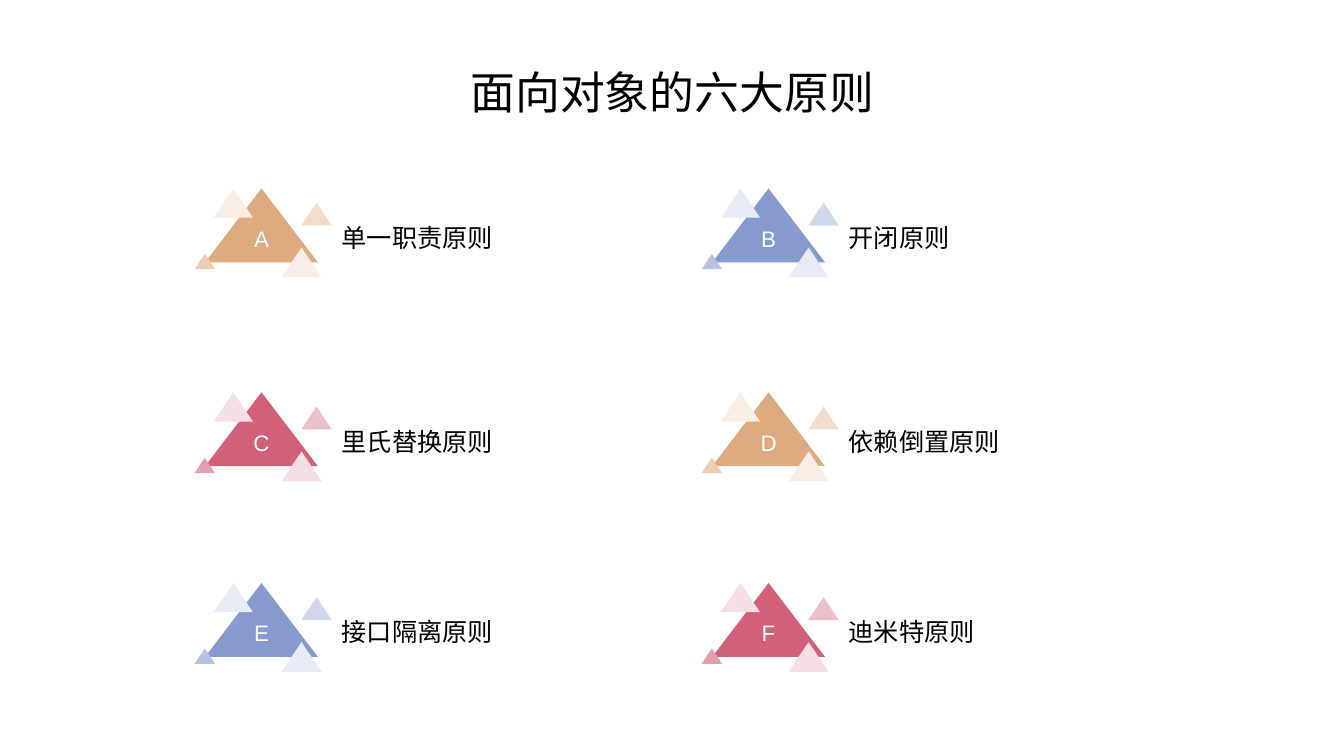
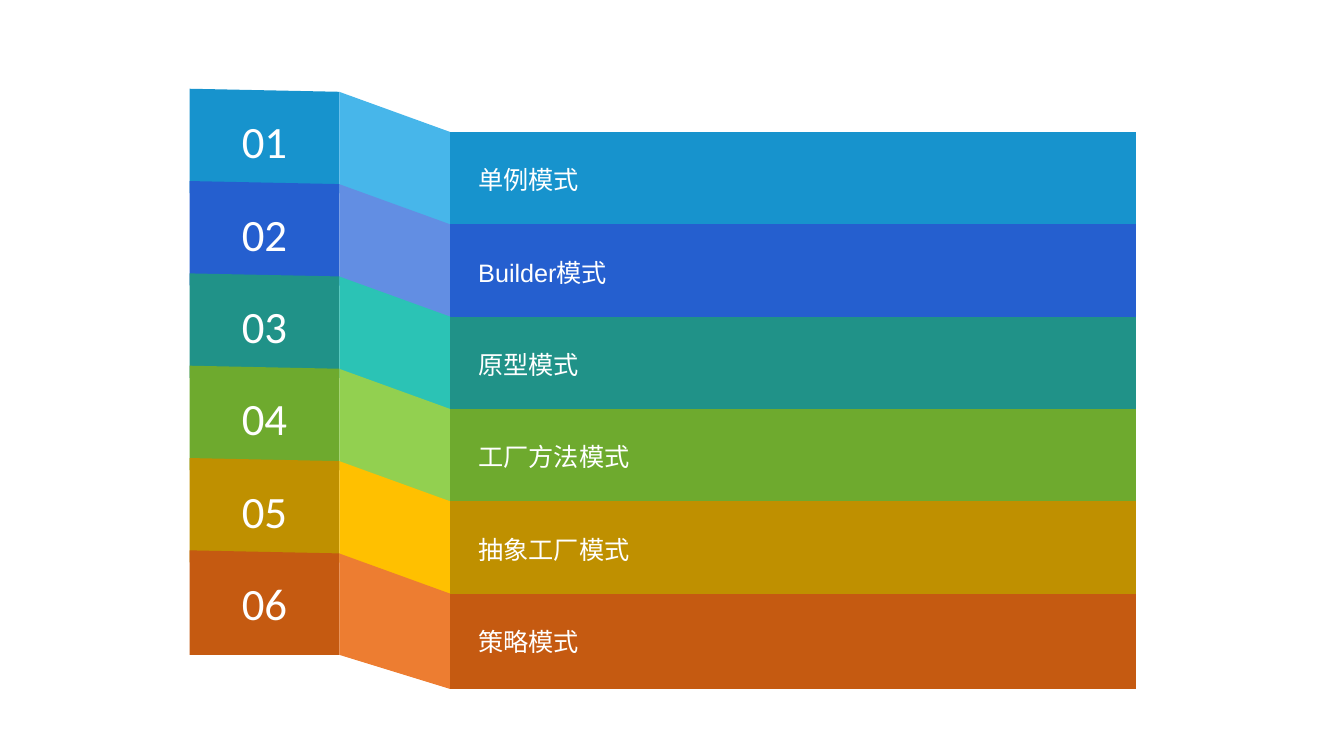
from pptx import Presentation
from pptx.dml.color import RGBColor
from pptx.enum.shapes import MSO_SHAPE
from pptx.enum.text import MSO_ANCHOR, MSO_AUTO_SIZE, PP_ALIGN
from pptx.util import Pt

BLACK = RGBColor(0x00, 0x00, 0x00)
WHITE = RGBColor(0xFF, 0xFF, 0xFF)
SAND = RGBColor(0xDE, 0xAB, 0x81)
ROSE = RGBColor(0xD2, 0x60, 0x78)
PERIWINKLE = RGBColor(0x86, 0x9A, 0xCD)
SKY, SKY_FOLD = RGBColor(0x17, 0x93, 0xCD), RGBColor(0x47, 0xB6, 0xEA)
BLUE, BLUE_FOLD = RGBColor(0x25, 0x5F, 0xCF), RGBColor(0x62, 0x8E, 0xE3)
TEAL, TEAL_FOLD = RGBColor(0x20, 0x92, 0x88), RGBColor(0x2B, 0xC3, 0xB5)
GREEN, GREEN_FOLD = RGBColor(0x6E, 0xAA, 0x2E), RGBColor(0x92, 0xD0, 0x50)
GOLD, GOLD_FOLD = RGBColor(0xBF, 0x90, 0x00), RGBColor(0xFF, 0xC0, 0x00)
RUST, RUST_FOLD = RGBColor(0xC5, 0x5A, 0x11), RGBColor(0xED, 0x7D, 0x31)

HEADING_FONT, BODY_FONT = "Calibri", "Arial"
HEADING_SIZE, BODY_SIZE, LETTER_SIZE = 32, 18, 16
TITLE_ONLY, BLANK = 5, 6

PRINCIPLES = [
    ("A", "单一职责原则", SAND), ("B", "开闭原则", PERIWINKLE),
    ("C", "里氏替换原则", ROSE), ("D", "依赖倒置原则", SAND),
    ("E", "接口隔离原则", PERIWINKLE), ("F", "迪米特原则", ROSE),
]
BADGE_COLUMNS = (139, 501.2)
BADGE_ROWS = (134.6, 280.2, 416.4)
# Offset from the badge corner, size, share of white
SMALL_TRIANGLES = [
    (13.7, 0, 28, 20.9, 0.8),
    (62, 42.2, 28.8, 21.4, 0.8),
    (76.2, 10.1, 21.8, 16.4, 0.6),
    (0, 46.8, 14.6, 10.9, 0.4),
]

PATTERNS = [
    ("单例模式", SKY, SKY_FOLD),
    ("Builder模式", BLUE, BLUE_FOLD),
    ("原型模式", TEAL, TEAL_FOLD),
    ("工厂方法模式", GREEN, GREEN_FOLD),
    ("抽象工厂模式", GOLD, GOLD_FOLD),
    ("策略模式", RUST, RUST_FOLD),
]
BAND_TOP, BAND_STEP = 63.4, 65.95
BAND_LEFT, FOLD_LEFT, FOLD_RIGHT, BAND_RIGHT = 135.4, 242.4, 321.6, 811.4


def tint(colour, white_share):
    return RGBColor(*(round(c + (255 - c) * white_share) for c in colour))


class Deck:
    """Holds the shared style and the slide being filled."""

    def __init__(self):
        self.presentation = Presentation()
        self.presentation.slide_width = Pt(960)
        self.presentation.slide_height = Pt(540)
        self.slide = None

    def new_slide(self, layout):
        layouts = self.presentation.slide_layouts
        self.slide = self.presentation.slides.add_slide(layouts[layout])

    def set_text(self, shape, text, size=BODY_SIZE, font=BODY_FONT,
                 colour=WHITE, align=PP_ALIGN.LEFT, anchor=MSO_ANCHOR.MIDDLE,
                 spacing=None):
        frame = shape.text_frame
        frame.word_wrap = True
        frame.auto_size = MSO_AUTO_SIZE.NONE
        frame.vertical_anchor = anchor
        paragraph = frame.paragraphs[0]
        paragraph.alignment = align
        paragraph.line_spacing = spacing
        run = paragraph.add_run()
        run.text = text
        run.font.size = Pt(size)
        run.font.name = font
        run.font.color.rgb = colour
        return frame

    def paint(self, shape, colour):
        shape.shadow.inherit = False
        shape.fill.solid()
        shape.fill.fore_color.rgb = colour
        shape.line.fill.background()
        return shape

    def title(self, text):
        title = self.slide.shapes.title
        title.left, title.top = Pt(111), Pt(42.5)
        title.width, title.height = Pt(738.6), Pt(55.4)
        self.set_text(title, text, HEADING_SIZE, HEADING_FONT, BLACK,
                      PP_ALIGN.CENTER, MSO_ANCHOR.TOP)

    def triangle(self, left, top, width, height, colour):
        shape = self.slide.shapes.add_shape(
            MSO_SHAPE.ISOSCELES_TRIANGLE,
            Pt(left), Pt(top), Pt(width), Pt(height))
        return self.paint(shape, colour)

    def badge(self, left, top, letter, name, colour):
        peak = self.triangle(left + 7.5, top, 80.6, 52.8, colour)
        frame = self.set_text(peak, letter, LETTER_SIZE,
                              align=PP_ALIGN.CENTER)
        frame.margin_bottom = Pt(11.5)
        for dx, dy, width, height, white_share in SMALL_TRIANGLES:
            self.triangle(left + dx, top + dy, width, height,
                          tint(colour, white_share))
        label = self.slide.shapes.add_textbox(
            Pt(left + 98), Pt(top - 24.2), Pt(221.8), Pt(111.6))
        self.set_text(label, name, colour=BLACK, spacing=1.3)

    def polygon(self, group, points, colour):
        start, *others = [(Pt(x), Pt(y)) for x, y in points]
        builder = group.shapes.build_freeform(*start)
        builder.add_line_segments(others, close=True)
        return self.paint(builder.convert_to_shape(), colour)

    def band(self, top, number, name, colour, fold_colour):
        """Draw one folded ribbon: number block, slanted fold, name panel."""
        fold_top, block_bottom = top + 2.2, top + 74.6
        panel_top, panel_bottom = top + 30.9, top + 99
        group = self.slide.shapes.add_group_shape()
        block = self.polygon(group, [
            (BAND_LEFT, top), (BAND_LEFT, block_bottom),
            (FOLD_LEFT, block_bottom), (FOLD_LEFT, fold_top)], colour)
        self.set_text(block, number, HEADING_SIZE, HEADING_FONT,
                      align=PP_ALIGN.CENTER)
        self.polygon(group, [
            (FOLD_LEFT, fold_top), (FOLD_LEFT, block_bottom),
            (FOLD_RIGHT, panel_bottom), (FOLD_RIGHT, panel_top)], fold_colour)
        panel = self.polygon(group, [
            (FOLD_RIGHT, panel_top), (BAND_RIGHT, panel_top),
            (BAND_RIGHT, panel_bottom), (FOLD_RIGHT, panel_bottom)], colour)
        frame = self.set_text(panel, name, align=PP_ALIGN.JUSTIFY)
        frame.margin_left = frame.margin_right = Pt(20)


def main():
    deck = Deck()

    deck.new_slide(TITLE_ONLY)
    deck.title("面向对象的六大原则")
    for index, principle in enumerate(PRINCIPLES):
        row, column = divmod(index, len(BADGE_COLUMNS))
        deck.badge(BADGE_COLUMNS[column], BADGE_ROWS[row], *principle)

    deck.new_slide(BLANK)
    for index, pattern in enumerate(PATTERNS):
        deck.band(BAND_TOP + index * BAND_STEP, f"{index + 1:02}", *pattern)

    deck.presentation.save("out.pptx")


if __name__ == "__main__":
    main()
